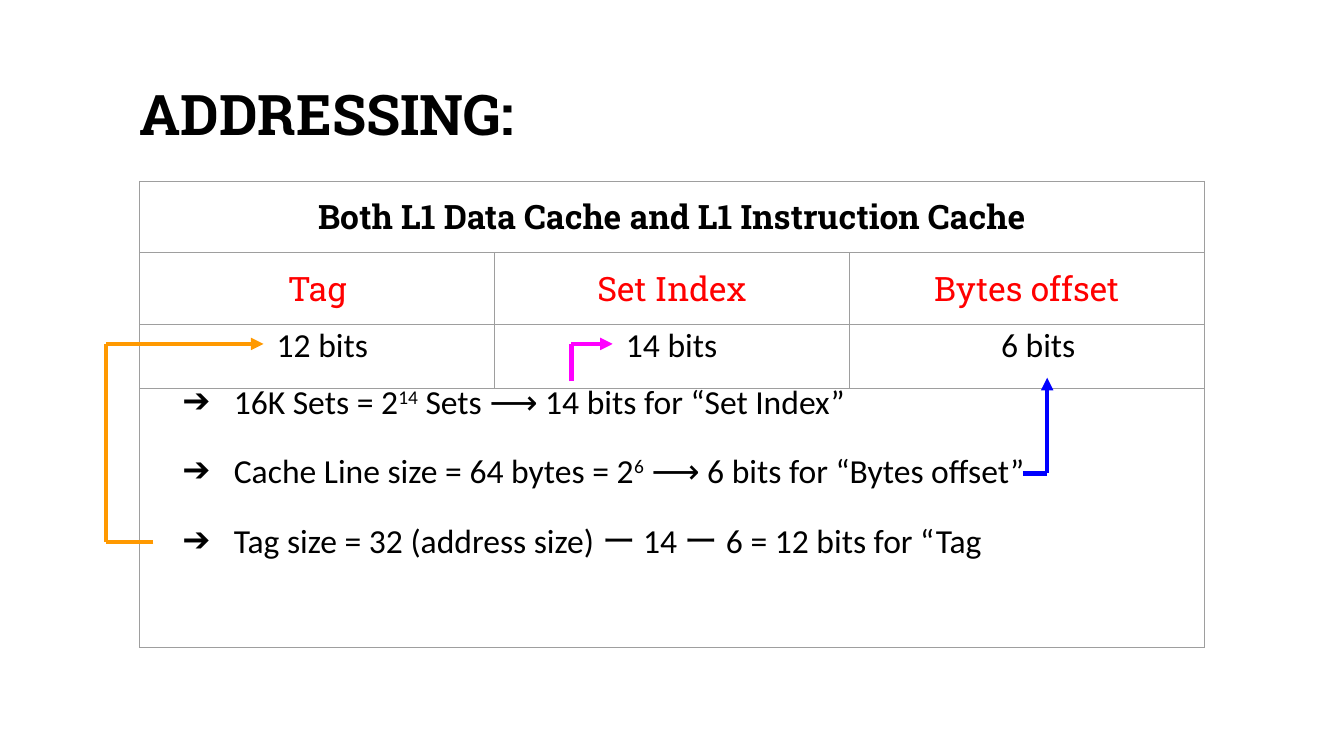
import pptx
import pptx.dml.color
import pptx.enum.shapes
import pptx.enum.text
import pptx.oxml
import pptx.oxml.ns
import pptx.util
from pptx.util import Cm

PP_ALIGN = pptx.enum.text.PP_ALIGN
INSET = Cm(0.25)
HEADING = {"name": "Roboto Slab", "size": pptx.util.Pt(18)}
BODY = {"name": "Calibri", "size": pptx.util.Pt(18)}
MARGINS = {f"margin_{side}": INSET for side in ("left", "top", "right", "bottom")}


def color(hex_text):
    return pptx.dml.color.RGBColor.from_string(hex_text)


def apply(target, values):
    for name, value in values.items():
        setattr(target, name, value)


def add_xml(parent, tag, content="", **attributes):
    """Append a drawing element, given its tag, inner XML and attributes."""
    listed = "".join(f' {name}="{value}"' for name, value in attributes.items())
    namespace = pptx.oxml.ns.nsdecls("a")
    parent.append(pptx.oxml.parse_xml(
        f"<a:{tag} {namespace}{listed}>{content}</a:{tag}>"))


def add_span(para, text, font, hex_text="000000", raised=False):
    span = para.add_run()
    span.text = text
    apply(span.font, font)
    span.font.color.rgb = color(hex_text)
    if raised:
        span._r.get_or_add_rPr().set("baseline", "30000")


def add_box(page, left, top, width, height):
    """Add a text box and return its first paragraph."""
    box = page.shapes.add_textbox(Cm(left), Cm(top), Cm(width), Cm(height))
    apply(box.text_frame, {**MARGINS, "word_wrap": True})
    return box.text_frame.paragraphs[0]


def add_title(page, text):
    para = add_box(page, 2.29, 1.4, 20.85, 2.03)
    para.line_spacing = 0.9
    para._p.get_or_add_pPr().set("marL", str(Cm(0.1)))
    add_span(para, text, {**HEADING, "size": pptx.util.Pt(30), "bold": True})


def add_bullet(page, top, parts):
    """Add an arrow bullet; every second part is an exponent."""
    para = add_box(page, 2.9, top, 19.63, 1.27)
    properties = para._p.get_or_add_pPr()
    properties.set("marL", str(Cm(1.27)))
    properties.set("indent", str(Cm(-0.97)))
    add_xml(properties, "buClr", '<a:srgbClr val="000000"/>')
    add_xml(properties, "buFont", typeface="Calibri")
    add_xml(properties, "buChar", char="➔")
    for index, text in enumerate(parts):
        add_span(para, text, BODY, raised=index % 2 == 1)


def style_cell(cell):
    cell.fill.background()
    properties = cell._tc.get_or_add_tcPr()
    fill = properties[0]
    for side in ("lnL", "lnR", "lnT", "lnB"):
        add_xml(properties, side,
                '<a:solidFill><a:srgbClr val="9E9E9E"/></a:solidFill>',
                w=pptx.util.Pt(0.75))
    properties.append(fill)  # borders come before the fill


def fill_cell(cell, text, hex_text, bold):
    apply(cell, MARGINS)
    para = cell.text_frame.paragraphs[0]
    para.alignment = PP_ALIGN.CENTER
    add_span(para, text, {**HEADING, "bold": bold}, hex_text)


def add_address_table(page, heading, fields):
    heights = (1.35, 1.35, 1.21, 4.9)
    frame = page.shapes.add_table(len(heights), len(fields), Cm(2.64), Cm(3.43),
                                  Cm(20.12), Cm(sum(heights)))
    table = frame.table
    apply(table, {"first_row": False, "horz_banding": False})
    for row, height in zip(table.rows, heights):
        row.height = Cm(height)
    for cell in table.iter_cells():
        style_cell(cell)
    # The heading and the notes area span all columns
    for row in (0, len(heights) - 1):
        table.cell(row, 0).merge(table.cell(row, len(fields) - 1))
    fill_cell(table.cell(0, 0), heading, "000000", True)
    for column, field in enumerate(fields):
        fill_cell(table.cell(1, column), field, "FF0000", False)


def add_route(page, hex_text, points):
    """Join the points with grouped lines; the last one ends in an arrowhead."""
    group = page.shapes.add_group_shape()
    for start, end in zip(points, points[1:]):
        line = group.shapes.add_connector(
            pptx.enum.shapes.MSO_CONNECTOR.STRAIGHT, *map(Cm, start + end))
        line.line.color.rgb = color(hex_text)
        line.line.width = pptx.util.Pt(2.25)
        if end == points[-1]:
            add_xml(line.line._get_or_add_ln(), "tailEnd", type="triangle")
        add_xml(line._element.spPr, "effectLst")


def main():
    deck = pptx.Presentation()
    apply(deck, {"slide_width": Cm(25.4), "slide_height": Cm(14.29)})
    page = deck.slides.add_slide(deck.slide_layouts[6])

    # Title and address layout
    add_title(page, "ADDRESSING:")
    add_address_table(page, "Both L1 Data Cache and L1 Instruction Cache",
                      ("Tag", "Set Index", "Bytes offset"))

    # Field widths
    for left, text in ((4.98, "12 bits"), (11.58, "14 bits"), (18.67, "6 bits")):
        add_span(add_box(page, left, 5.87, 2.24, 1.27), text, BODY)

    # Derivations
    add_bullet(page, 6.96, ("16K Sets = 2", "14",
                            " Sets ⟶ 14 bits for “Set Index”"))
    add_bullet(page, 8.26, ("Cache Line size = 64 bytes = 2", "6",
                            " ⟶ 6 bits for “Bytes offset”"))
    add_bullet(page, 9.58,
               ("Tag size = 32 (address size) ー 14 ー 6 = 12 bits for “Tag",))

    # Arrows from each derivation to its field
    add_route(page, "FF00FF", [(10.8, 7.21), (10.8, 6.5), (11.58, 6.5)])
    add_route(page, "0000FF", [(19.33, 8.95), (19.79, 8.95), (19.79, 7.14)])
    add_route(page, "FF9900",
              [(2.9, 10.24), (2.01, 10.24), (2.01, 6.5), (4.98, 6.5)])

    deck.save("out.pptx")


if __name__ == "__main__":
    main()
